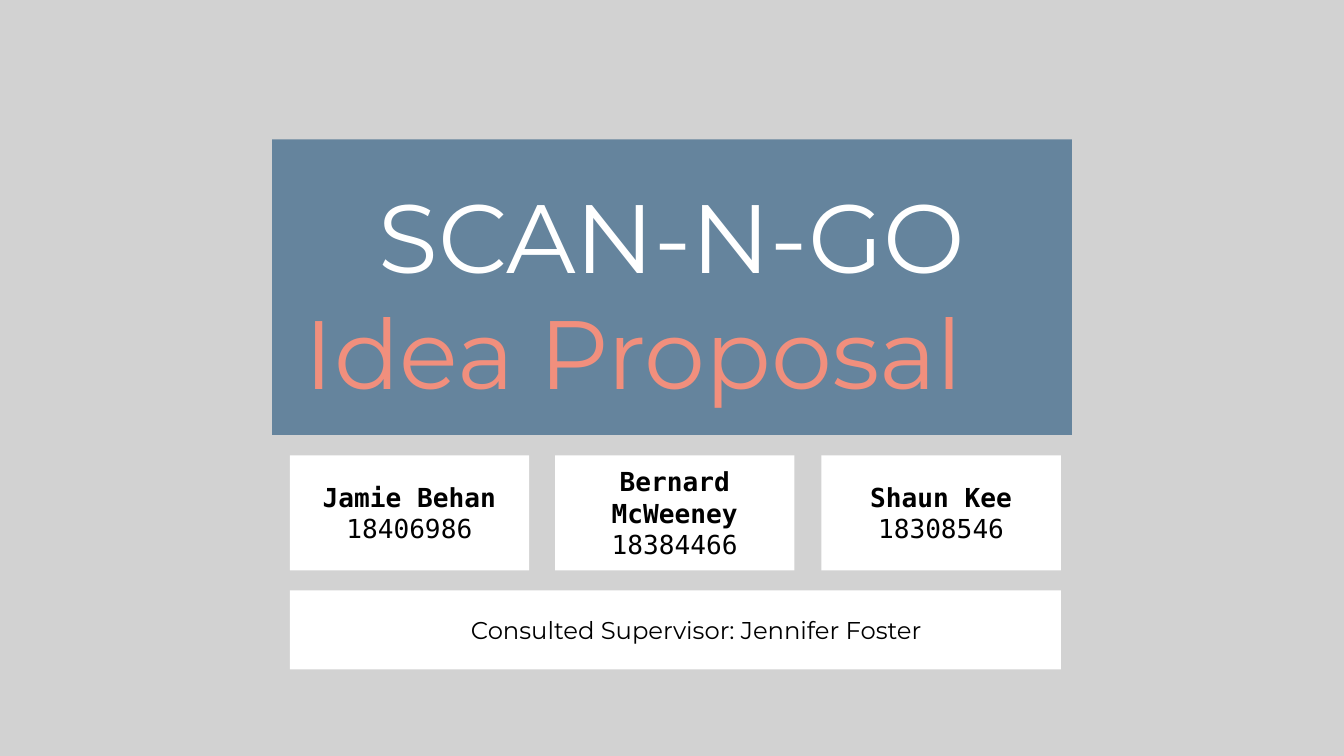
import dataclasses

import pptx
import pptx.dml.color
import pptx.enum.shapes
import pptx.enum.text
import pptx.oxml
import pptx.oxml.ns
import pptx.util

SCALE = 5715
ALIGN = pptx.enum.text.PP_ALIGN
ANCHOR = pptx.enum.text.MSO_ANCHOR


@dataclasses.dataclass(frozen=True)
class Theme:
    backdrop: str = "A7A7A7"
    banner: str = "577A96"
    accent: str = "F18F7D"
    white: str = "FFFFFF"
    black: str = "000000"
    display_font: str = "Montserrat"
    card_font: str = "DejaVu Sans Mono"
    title_size: int = 52
    card_size: int = 14
    supervisor_size: int = 13


@dataclasses.dataclass(frozen=True)
class Box:
    left: int
    top: int
    width: int
    height: int

    def inside(self, left, top, width, height):
        return Box(self.left + left, self.top + top, width, height)

    def emu(self):
        return [px(side) for side in dataclasses.astuple(self)]


THEME = Theme()


def px(length):
    return pptx.util.Emu(length * SCALE)


def add_panel(page, box, color, opacity=100):
    panel = page.shapes.add_shape(pptx.enum.shapes.MSO_SHAPE.RECTANGLE, *box.emu())
    panel.shadow.inherit = False
    panel.line.fill.background()
    panel.fill.solid()
    panel.fill.fore_color.rgb = pptx.dml.color.RGBColor.from_string(color)
    if opacity < 100:
        tint = panel.fill._xPr.find(".//" + pptx.oxml.ns.qn("a:srgbClr"))
        alpha = pptx.oxml.parse_xml(f"<a:alpha {pptx.oxml.ns.nsdecls('a')}/>")
        alpha.set("val", str(opacity * 1000))
        tint.append(alpha)
    return panel


def prepare_frame(shape, anchor):
    frame = shape.text_frame
    frame.word_wrap = True
    frame.auto_size = pptx.enum.text.MSO_AUTO_SIZE.NONE
    frame.vertical_anchor = anchor
    frame.margin_left = frame.margin_right = px(16)
    frame.margin_top = frame.margin_bottom = px(16)
    return frame


def add_span(para, text, font, size, color, bold=False):
    para.alignment = ALIGN.CENTER
    span = para.add_run()
    span.text = text
    span.font.name = font
    span.font.size = pptx.util.Pt(size)
    span.font.bold = bold
    span.font.color.rgb = pptx.dml.color.RGBColor.from_string(color)


def place_banner(page, box):
    add_panel(page, box, THEME.banner, opacity=88)
    title = page.shapes.title
    title.left, title.top, title.width, title.height = box.inside(12, 28, 928, 296).emu()
    page.shapes._spTree.append(title._element)
    frame = prepare_frame(title, ANCHOR.TOP)
    name = frame.paragraphs[0]
    add_span(name, "SCAN-N-GO", THEME.display_font, THEME.title_size, THEME.white)
    subject = frame.add_paragraph()
    add_span(subject, "Idea Proposal", THEME.display_font, THEME.title_size, THEME.accent)
    subject.alignment = ALIGN.LEFT
    subject._p.get_or_add_pPr().set("marL", str(px(11)))


def place_members(page, box, members):
    card_width = 285
    step = (box.width - card_width) / (len(members) - 1)
    for index, (name, number) in enumerate(members):
        card_box = box.inside(round(index * step), 0, card_width, box.height)
        frame = prepare_frame(add_panel(page, card_box, THEME.white), ANCHOR.MIDDLE)
        add_span(frame.paragraphs[0], name, THEME.card_font, THEME.card_size, THEME.black, bold=True)
        add_span(frame.add_paragraph(), number, THEME.card_font, THEME.card_size, THEME.black)


def place_supervisor(page, box):
    add_panel(page, box, THEME.white)
    label = page.shapes.add_textbox(*box.inside(161, 14, 645, 67).emu())
    frame = prepare_frame(label, ANCHOR.TOP)
    add_span(
        frame.paragraphs[0],
        "Consulted Supervisor: Jennifer Foster",
        THEME.display_font,
        THEME.supervisor_size,
        THEME.black,
    )


def build_cover(deck, box):
    page = deck.slides.add_slide(deck.slide_layouts[0])
    subtitle = page.placeholders[1]._element
    subtitle.getparent().remove(subtitle)
    add_panel(page, box, THEME.backdrop, opacity=50)
    place_banner(page, box.inside(324, 166, 952, 352))
    members = [
        ("Jamie Behan", "18406986"),
        ("Bernard McWeeney", "18384466"),
        ("Shaun Kee", "18308546"),
    ]
    place_members(page, box.inside(345, 542, 918, 137), members)
    place_supervisor(page, box.inside(345, 703, 918, 94))


def main():
    deck = pptx.Presentation()
    cover = Box(0, 0, 1600, 900)
    deck.slide_width, deck.slide_height = px(cover.width), px(cover.height)
    build_cover(deck, cover)
    deck.save("out.pptx")


if __name__ == "__main__":
    main()
